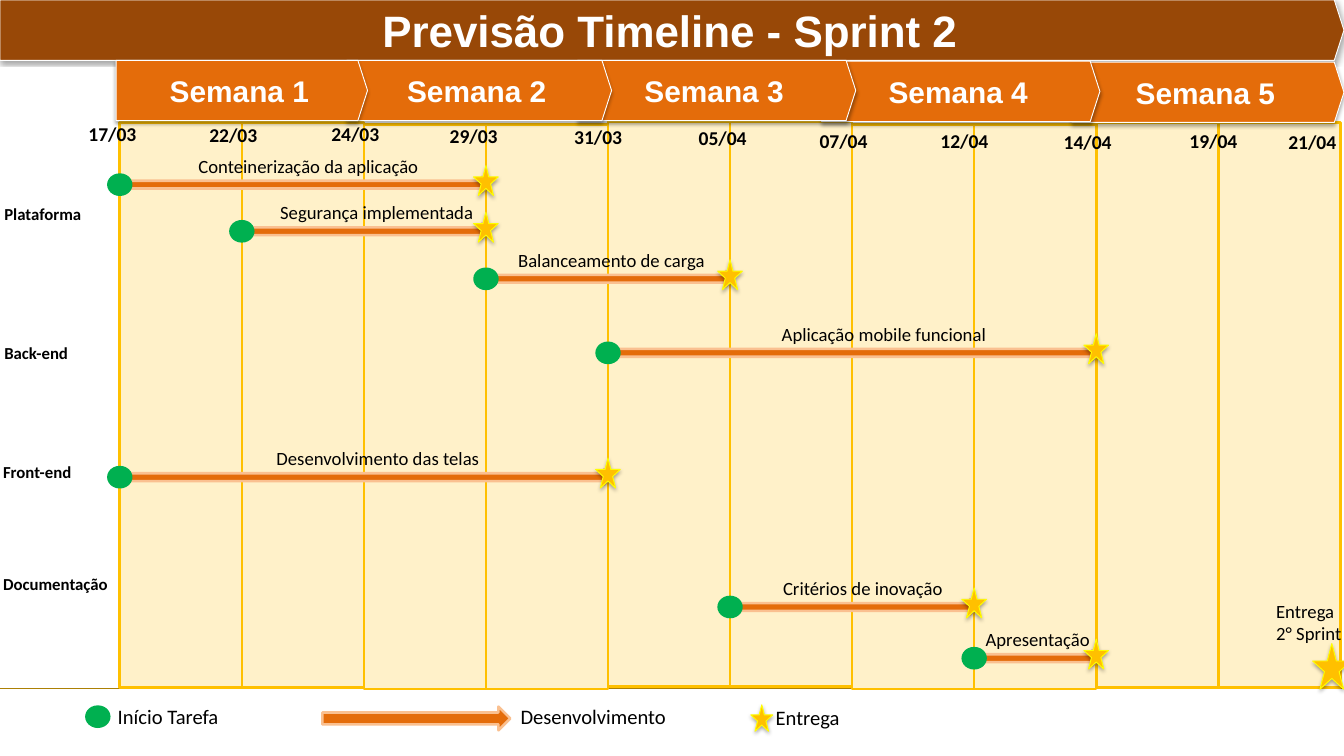
import dataclasses

import lxml.etree
import pptx
import pptx.dml.color
import pptx.enum.shapes
import pptx.enum.text
import pptx.oxml.ns
import pptx.util

RGBColor = pptx.dml.color.RGBColor
Shape = pptx.enum.shapes.MSO_SHAPE
BROWN = RGBColor(0x98, 0x48, 0x07)
ORANGE = RGBColor(0xE4, 0x6C, 0x0A)
PEACH = RGBColor(0xFA, 0xC0, 0x90)
GOLD = RGBColor(0xFF, 0xC0, 0x00)
YELLOW = RGBColor(0xFF, 0xFF, 0x00)
OCHRE = RGBColor(0xAC, 0x80, 0x04)
GREEN = RGBColor(0x00, 0xB0, 0x50)
WHITE = RGBColor(0xFF, 0xFF, 0xFF)
BLACK = RGBColor(0x00, 0x00, 0x00)

# Grid in inches: ten half-week columns, half-inch rows
PAGE_WIDTH, PAGE_HEIGHT = 14.7, 8.27
GRID_LEFT, GRID_RIGHT, COLUMNS = 1.31, 14.66, 10
COLUMN = (GRID_RIGHT - GRID_LEFT) / COLUMNS
ROW = 0.5
BAR_HEIGHT = 0.66
BAND_TOPS = (2.68, 2.72, 2.66, 2.72, 2.68)  # one for each pair of columns


@dataclasses.dataclass(frozen=True)
class Label:
    text: str
    column: float
    row: float
    width: float = 0.74


@dataclasses.dataclass(frozen=True)
class Task:
    name: str
    start: int
    end: int
    row: float
    label_column: float
    label_width: float = 2.41


WEEKS = [
    Label("Semana 1", -0.03, 1.32), Label("Semana 2", 1.86, 1.32),
    Label("Semana 3", 3.75, 1.32), Label("Semana 4", 5.75, 1.34),
    Label("Semana 5", 7.8, 1.36),
]
DATES = [
    Label("17/03", -0.33, 2.58), Label("22/03", 0.66, 2.6), Label("24/03", 1.66, 2.58),
    Label("29/03", 2.63, 2.62), Label("31/03", 3.65, 2.64), Label("05/04", 4.67, 2.66),
    Label("07/04", 5.66, 2.72), Label("12/04", 6.65, 2.72), Label("14/04", 7.66, 2.74),
    Label("19/04", 8.69, 2.72), Label("21/04", 9.5, 2.74),
]
AREAS = [
    Label("Plataforma", -1.02, 4.36, 1.05), Label("Back-end", -1.02, 7.4, 0.91),
    Label("Front-end", -1.03, 10, 0.96), Label("Documentação", -1.03, 12.46, 1.36),
]
TASKS = [
    Task("Conteinerização da aplicação", 0, 3, 4.04, 0.57, 2.8),
    Task("Segurança implementada", 1, 3, 5.06, 1.24),
    Task("Balanceamento de carga", 3, 5, 6.1, 3.19),
    Task("Aplicação mobile funcional", 4, 8, 7.72, 5.35, 2.8),
    Task("Desenvolvimento das telas", 0, 4, 10.44, 1.21, 2.8),
    Task("Critérios de inovação", 5, 7, 13.28, 5.36),
    Task("Apresentação", 7, 8, 14.4, 7.02, 1.57),
]
LEGEND = [
    Label("Início Tarefa", -0.09, 15.3, 2.06), Label("Desenvolvimento", 3.21, 15.3, 2.06),
    Label("Entrega", 5.3, 15.32, 2.06),
]


def column_x(column: float) -> float:
    return GRID_LEFT + column * COLUMN


def write(frame, lines: list[str], size: float, font: str, color: RGBColor,
          bold: bool = False, centred: bool = False) -> None:
    for index, line in enumerate(lines):
        para = frame.add_paragraph() if index else frame.paragraphs[0]
        align = pptx.enum.text.PP_ALIGN
        para.alignment = align.CENTER if centred else align.LEFT
        span = para.add_run()
        span.text = line
        span.font.size = pptx.util.Pt(size)
        span.font.name = font
        span.font.bold = bold
        span.font.color.rgb = color


def add_label(page, label: Label, size: float, bold: bool = False, wrap: bool = True) -> None:
    lines = label.text.split("\n")
    height = 0.1 + len(lines) * size * 0.017
    box = page.shapes.add_textbox(*map(pptx.util.Inches, (
        column_x(label.column), label.row * ROW, label.width, height)))
    box.text_frame.word_wrap = wrap
    box.text_frame.auto_size = pptx.enum.text.MSO_AUTO_SIZE.SHAPE_TO_FIT_TEXT
    write(box.text_frame, lines, size, "Calibri", BLACK, bold)


def add_figure(page, kind: Shape, left: float, top: float, width: float, height: float,
               fill: RGBColor, line: RGBColor, weight: float = 2, shadow: bool = False):
    figure = page.shapes.add_shape(kind, *map(pptx.util.Inches, (left, top, width, height)))
    figure.shadow.inherit = False
    figure.fill.solid()
    figure.fill.fore_color.rgb = fill
    figure.line.color.rgb = line
    figure.line.width = pptx.util.Pt(weight)
    if shadow:
        qn = pptx.oxml.ns.qn
        effects = figure.element.spPr.find(qn("a:effectLst"))
        outer = lxml.etree.SubElement(
            effects, qn("a:outerShdw"), blurRad=str(pptx.util.Pt(3.1)),
            dist=str(pptx.util.Pt(1.8)), dir="5400000", rotWithShape="0")
        tint = lxml.etree.SubElement(outer, qn("a:srgbClr"), val=str(BLACK))
        lxml.etree.SubElement(tint, qn("a:alpha"), val="35000")
    return figure


def add_bar(page, left: float, top: float, width: float, fill: RGBColor):
    bar = add_figure(page, Shape.PENTAGON, left, top, width, BAR_HEIGHT, fill, WHITE, 0.75, True)
    bar.adjustments[0] = 0.16
    return bar


def add_start(page, column: float, row: float) -> None:
    width, height = 0.25, 0.22
    add_figure(page, Shape.OVAL, column_x(column) - width / 2, row * ROW - height / 2,
               width, height, GREEN, GREEN)


def add_star(page, column: float, row: float, width: float = 0.27, height: float = 0.33) -> None:
    add_figure(page, Shape.STAR_5_POINT, column_x(column) - width / 2, row * ROW - height / 2,
               width, height, GOLD, YELLOW, 0.75, True)


def add_arrow(page, start: float, end: float, row: float, height: float = 0.17) -> None:
    add_figure(page, Shape.RIGHT_ARROW, column_x(start), row * ROW - height / 2,
               (end - start) * COLUMN, height, ORANGE, PEACH)


def add_calendar(page) -> None:
    # Base line and translucent columns
    rule = page.shapes.add_connector(pptx.enum.shapes.MSO_CONNECTOR.STRAIGHT, *map(
        pptx.util.Inches, (0, 7.53, PAGE_WIDTH, 7.53)))
    rule.line.color.rgb = OCHRE
    rule.line.width = pptx.util.Pt(0.75)
    qn = pptx.oxml.ns.qn
    lxml.etree.SubElement(rule.element.spPr, qn("a:effectLst"))
    for index in range(COLUMNS):
        band = add_figure(page, Shape.RECTANGLE, column_x(index), BAND_TOPS[index // 2] * ROW,
                          COLUMN, 6.18, GOLD, GOLD)
        tint = band.element.spPr.find(qn("a:solidFill"))[0]
        lxml.etree.SubElement(tint, qn("a:alpha"), val="21000")


def add_header(page) -> None:
    # Title on its bar, then week bars from last to first so that each tip overlaps
    add_bar(page, 0, 0, PAGE_WIDTH, BROWN)
    title = page.shapes.title
    title.left = title.top = 0
    title.width = pptx.util.Inches(PAGE_WIDTH - 0.05)
    title.height = pptx.util.Inches(BAR_HEIGHT)
    title.text_frame.auto_size = pptx.enum.text.MSO_AUTO_SIZE.NONE
    title.text_frame.vertical_anchor = pptx.enum.text.MSO_ANCHOR.MIDDLE
    write(title.text_frame, ["Previsão Timeline - Sprint 2"], 34.6, "Arial", WHITE, True, True)
    page.shapes.element.append(title.element)
    for number, week in reversed(list(enumerate(WEEKS, 1))):
        width = (2 * number + 0.03 - week.column) * COLUMN
        bar = add_bar(page, column_x(week.column), week.row * ROW, width, ORANGE)
        bar.text_frame.vertical_anchor = pptx.enum.text.MSO_ANCHOR.MIDDLE
        write(bar.text_frame, [week.text], 23.5, "Arial", WHITE, True, True)


def add_task(page, task: Task) -> None:
    add_arrow(page, task.start + 0.04, task.end + 0.03, task.row)
    add_start(page, task.start, task.row)
    add_star(page, task.end, task.row - 0.09)
    add_label(page, Label(task.name, task.label_column, task.row - 0.76, task.label_width), 14.7)


def main() -> None:
    deck = pptx.Presentation()
    deck.slide_width = pptx.util.Inches(PAGE_WIDTH)
    deck.slide_height = pptx.util.Inches(PAGE_HEIGHT)
    page = deck.slides.add_slide(deck.slide_layouts.get_by_name("Title Only"))
    add_calendar(page)
    add_header(page)
    for area in AREAS:
        add_label(page, area, 13.2, bold=True, wrap=False)
    for date in DATES:
        add_label(page, date, 15.4, bold=True, wrap=False)
    for task in TASKS:
        add_task(page, task)
    # Sprint delivery
    add_star(page, 9.93, 14.58, 0.42, 0.5)
    add_label(page, Label("Entrega\n2° Sprint", 9.4, 13.02, 1.11), 14.7)
    # Legend
    add_start(page, -0.18, 15.68)
    add_arrow(page, 1.66, 3.2, 15.72, 0.26)
    add_star(page, 5.26, 15.71, 0.24, 0.29)
    for entry in LEGEND:
        add_label(page, entry, 16.2)
    deck.save("out.pptx")


if __name__ == "__main__":
    main()
